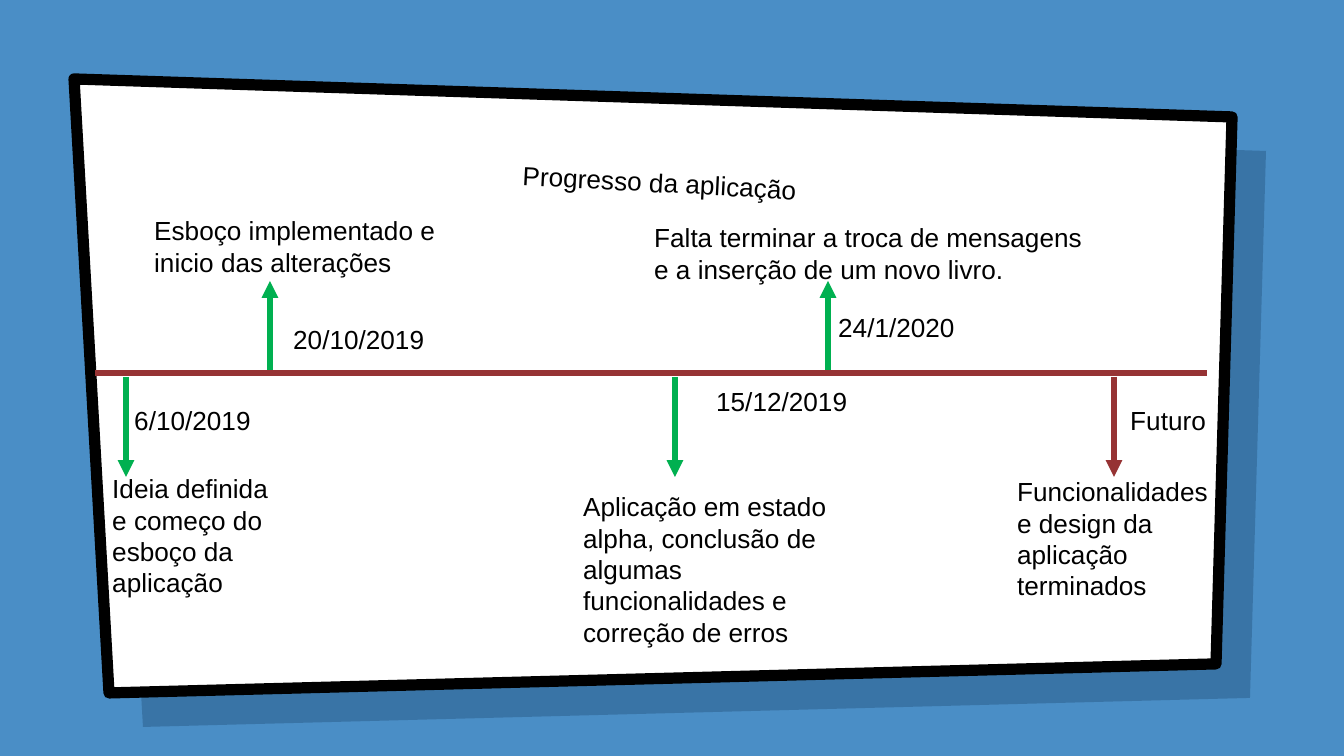
"""Build the application progress timeline slide."""
from lxml.etree import SubElement
from pptx import Presentation
from pptx.dml.color import RGBColor
from pptx.enum.shapes import MSO_CONNECTOR as Connector
from pptx.enum.text import MSO_ANCHOR as Anchor, MSO_AUTO_SIZE as AutoSize, PP_ALIGN as Align
from pptx.oxml.ns import qn
from pptx.util import Emu, Pt

WIDTH, HEIGHT = 1344, 756
EMU_PER_PX = 9144000 / WIDTH

BLUE = RGBColor(0x4A, 0x8E, 0xC6)
NAVY = RGBColor(0x00, 0x19, 0x36)
WHITE = RGBColor(0xFF, 0xFF, 0xFF)
BLACK = RGBColor(0x00, 0x00, 0x00)
GREEN = RGBColor(0x00, 0xB0, 0x50)
RED = RGBColor(0x96, 0x33, 0x34)

FONT = {"name": "Arial", "size": Pt(14), "bold": False}
PANEL = [(74, 79), (1232, 117), (1216, 664), (109, 693)]
SHADOW_OFFSET = 34
TITLE_BOX = (144, 99, 1034, 112)
TITLE_INSET = 13

AXIS = (95, 373, 1207, 373)
DOWN = (377, 477)
UP = (370, 281)

MILESTONES = [
    (126, DOWN, GREEN, "6/10/2019", (121, 398, 146, 44),
     "Ideia definida e começo do esboço da aplicação", (99, 466, 192, 138)),
    (270, UP, GREEN, "20/10/2019", (280, 317, 160, 44),
     "Esboço implementado e inicio das alterações", (141, 208, 341, 77)),
    (675, DOWN, GREEN, "15/12/2019", (703, 379, 160, 44),
     "Aplicação em estado alpha, conclusão de algumas funcionalidades e correção de erros",
     (570, 484, 292, 171)),
    (828, UP, GREEN, "24/1/2020", (825, 305, 160, 44),
     "Falta terminar a troca de mensagens e a inserção de um novo livro.", (641, 215, 476, 77)),
    (1114, DOWN, RED, "Futuro", (1117, 398, 108, 44),
     "Funcionalidades e design da aplicação terminados", (1004, 469, 220, 138)),
]


def px(length):
    """Turn a length in px into EMU."""
    return Emu(round(length * EMU_PER_PX))


def apply_format(target, values):
    """Set every attribute named in a dict of format values."""
    for name, value in values.items():
        setattr(target, name, value)


def write_text(shape, text):
    """Put one formatted run of text in a shape."""
    para = shape.text_frame.paragraphs[0]
    span = para.add_run()
    span.text = text
    apply_format(span.font, FONT)
    span.font.color.rgb = BLACK
    return para


def add_panel(page, offset, color):
    """Draw the slanted panel outline, moved by an offset on both axes."""
    points = [(x + offset, y + offset) for x, y in PANEL]
    builder = page.shapes.build_freeform(*points[0], scale=EMU_PER_PX)
    builder.add_line_segments(points[1:], close=True)
    panel = builder.convert_to_shape()
    panel.shadow.inherit = False
    panel.fill.solid()
    panel.fill.fore_color.rgb = color
    return panel


def add_panel_shadow(page):
    """Draw the translucent panel shadow."""
    shadow = add_panel(page, SHADOW_OFFSET, NAVY)
    shadow.line.fill.background()
    color = shadow.fill._xPr.find(qn("a:solidFill"))[0]
    SubElement(color, qn("a:alpha")).set("val", "22000")


def add_framed_panel(page):
    """Draw the white panel with its black frame."""
    panel = add_panel(page, 0, WHITE)
    panel.line.color.rgb = BLACK
    panel.line.width = Pt(6)


def place_title(page, text):
    """Move, tilt and fill the title placeholder."""
    title = page.shapes.title
    left, top, width, height = map(px, TITLE_BOX)
    apply_format(title, {"left": left, "top": top, "width": width,
                         "height": height, "rotation": 3})
    sides = ("left", "top", "right", "bottom")
    apply_format(title.text_frame, {f"margin_{side}": px(TITLE_INSET) for side in sides})
    apply_format(title.text_frame, {"vertical_anchor": Anchor.BOTTOM, "word_wrap": True,
                                    "auto_size": AutoSize.NONE})
    write_text(title, text).alignment = Align.CENTER
    tree = page.shapes._spTree
    tree.remove(title._element)
    tree.append(title._element)


def add_line(page, ends, color, arrow=False):
    """Draw a straight line, with an arrowhead at its end if asked."""
    line = page.shapes.add_connector(Connector.STRAIGHT, *map(px, ends))
    line.line.color.rgb = color
    line.line.width = Pt(3)
    if arrow:
        SubElement(line.line._get_or_add_ln(), qn("a:tailEnd")).set("type", "triangle")
    SubElement(line._element.spPr, qn("a:effectLst"))


def add_label(page, text, bounds):
    """Add a wrapped text box."""
    box = page.shapes.add_textbox(*map(px, bounds))
    apply_format(box.text_frame, {"word_wrap": True, "auto_size": AutoSize.SHAPE_TO_FIT_TEXT})
    write_text(box, text)


def add_milestone(page, x, span, color, date, date_box, text, text_box):
    """Add an arrow off the axis with its date and description."""
    start, end = span
    add_line(page, (x, start, x, end), color, arrow=True)
    add_label(page, date, date_box)
    add_label(page, text, text_box)


def main():
    """Build and save the deck."""
    deck = Presentation()
    apply_format(deck, {"slide_width": px(WIDTH), "slide_height": px(HEIGHT)})
    page = deck.slides.add_slide(deck.slide_layouts.get_by_name("Title Only"))
    page.background.fill.solid()
    page.background.fill.fore_color.rgb = BLUE
    add_panel_shadow(page)
    add_framed_panel(page)
    place_title(page, "Progresso da aplicação")
    add_line(page, AXIS, RED)
    for milestone in MILESTONES:
        add_milestone(page, *milestone)
    deck.save("out.pptx")


if __name__ == "__main__":
    main()
